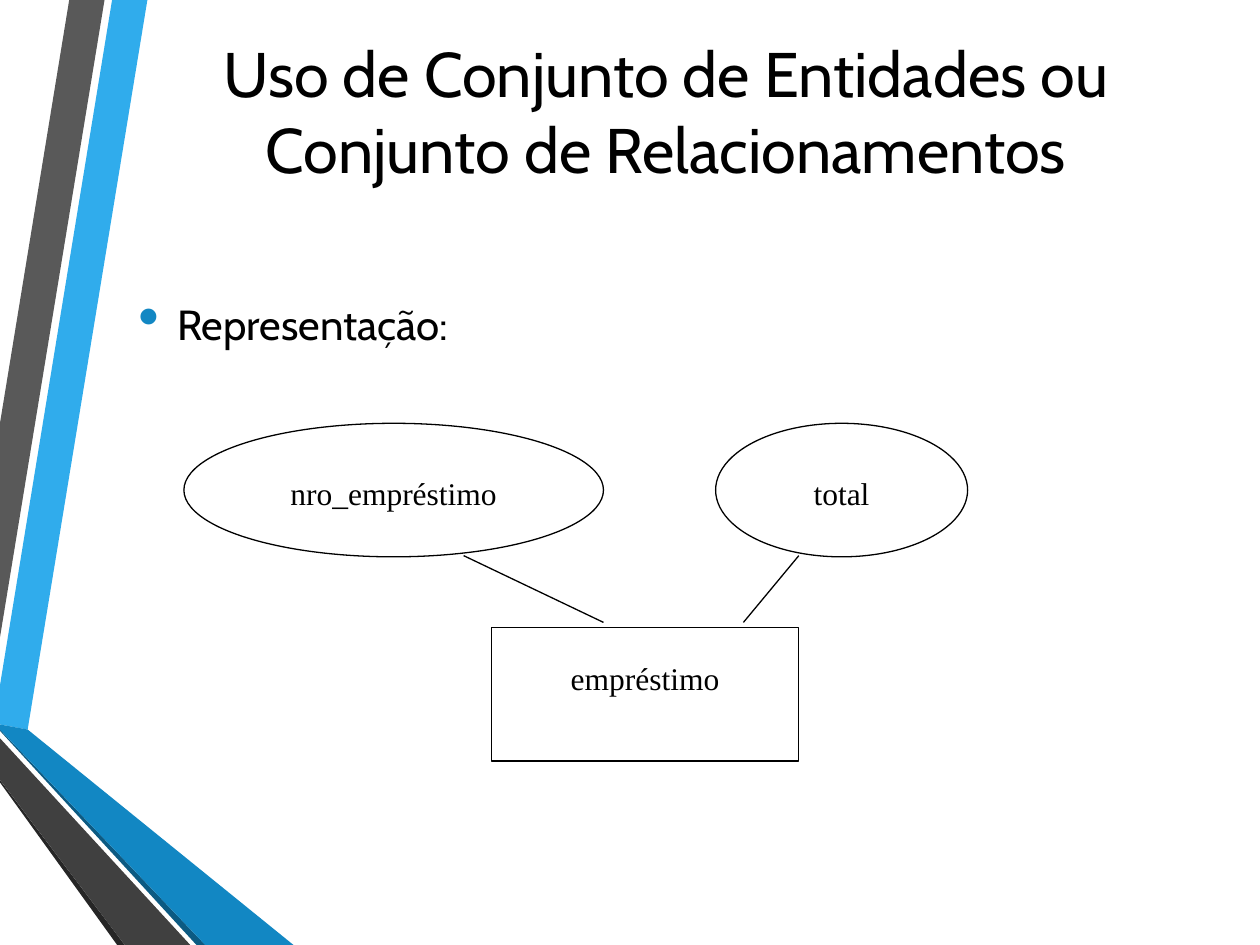
from lxml import etree
from pptx import Presentation
from pptx.dml.color import RGBColor
from pptx.enum.shapes import MSO_CONNECTOR, MSO_SHAPE
from pptx.enum.text import MSO_ANCHOR, PP_ALIGN
from pptx.oxml.ns import qn
from pptx.util import Inches, Pt

STRAIGHT = MSO_CONNECTOR.STRAIGHT
RECTANGLE, OVAL = MSO_SHAPE.RECTANGLE, MSO_SHAPE.OVAL
TOP, MIDDLE = MSO_ANCHOR.TOP, MSO_ANCHOR.MIDDLE
LEFT, CENTER = PP_ALIGN.LEFT, PP_ALIGN.CENTER

BLACK = RGBColor(0x00, 0x00, 0x00)
WHITE = RGBColor(0xFF, 0xFF, 0xFF)
LIGHT_BLUE = RGBColor(0x30, 0xAC, 0xEC)
BLUE = RGBColor(0x12, 0x87, 0xC3)
DARK_BLUE = RGBColor(0x0C, 0x5A, 0x82)
GRAY = RGBColor(0x59, 0x59, 0x59)
DARK_GRAY = RGBColor(0x40, 0x40, 0x40)
CHARCOAL = RGBColor(0x26, 0x26, 0x26)


def write_text(shape, text, font_name, size, alignment, anchor):
    frame = shape.text_frame
    frame.word_wrap = True
    frame.vertical_anchor = anchor
    paragraph = frame.paragraphs[0]
    paragraph.alignment = alignment
    run = paragraph.add_run()
    run.text = text
    run.font.name = font_name
    run.font.size = Pt(size)
    run.font.color.rgb = BLACK
    return paragraph


presentation = Presentation()
presentation.slide_width = Inches(10)
presentation.slide_height = Inches(7.5)
slide = presentation.slides.add_slide(presentation.slide_layouts[6])
shapes = slide.shapes

# Folded ribbons along the left edge
ribbons = [
    (LIGHT_BLUE, [(0, 5.44), (0, 5.75), (0.22, 5.79), (1.17, 0), (0.89, 0)]),
    (GRAY, [(0.83, 0), (0.55, 0), (0, 3.36), (0, 5.06)]),
    (CHARCOAL, [(0, 6.19), (0, 6.21), (0.93, 7.5), (0.99, 7.5)]),
    (DARK_BLUE, [(0, 5.79), (0, 5.8), (1.56, 7.5), (1.63, 7.5)]),
    (BLUE, [(0, 5.79), (1.63, 7.5), (2.33, 7.5), (0.22, 5.79), (0, 5.75)]),
    (DARK_GRAY, [(0, 6.19), (0.99, 7.5), (1.51, 7.5), (0, 5.86)]),
]
for color, points in ribbons:
    corners = [(Inches(x), Inches(y)) for x, y in points]
    builder = shapes.build_freeform(*corners[0])
    builder.add_line_segments(corners[1:], close=True)
    ribbon = builder.convert_to_shape()
    ribbon.shadow.inherit = False
    ribbon.fill.solid()
    ribbon.fill.fore_color.rgb = color
    ribbon.line.fill.background()

title = shapes.add_textbox(Inches(1.07), Inches(0.5), Inches(8.43), Inches(0.75))
write_text(title, "Uso de Conjunto de Entidades ou Conjunto de Relacionamentos",
           "Cabin", 36, CENTER, MIDDLE)

body = shapes.add_textbox(Inches(0.5), Inches(2.17), Inches(9), Inches(0.8))
item = write_text(body, "Representação:", "Cabin", 24, LEFT, MIDDLE)
properties = item._p.get_or_add_pPr()
properties.set("marL", str(Inches(0.81)))
properties.set("indent", str(Inches(-0.31)))
bullet_color = etree.SubElement(properties, qn("a:buClr"))
etree.SubElement(bullet_color, qn("a:srgbClr"), val=str(BLUE))
etree.SubElement(properties, qn("a:buSzPct"), val="145000")
etree.SubElement(properties, qn("a:buChar"), char="•")

# Entity with its two attributes
nodes = [
    (RECTANGLE, "empréstimo", 3.9, 4.98, 2.44),
    (OVAL, "nro_empréstimo", 1.46, 3.36, 3.33),
    (OVAL, "total", 5.68, 3.36, 2),
]
for kind, label, left, top, width in nodes:
    node = shapes.add_shape(kind, Inches(left), Inches(top), Inches(width), Inches(1.06))
    node.shadow.inherit = False
    node.fill.solid()
    node.fill.fore_color.rgb = WHITE
    node.line.color.rgb = BLACK
    node.line.width = Pt(0.75)
    write_text(node, label, "Times New Roman", 18, CENTER, TOP)
    node.text_frame.margin_top = Inches(0.25)

for start_x, end_x in [(3.68, 4.79), (6.34, 5.9)]:
    link = shapes.add_connector(STRAIGHT, Inches(start_x), Inches(4.41),
                                Inches(end_x), Inches(4.94))
    link.line.color.rgb = BLACK
    link.line.width = Pt(0.75)
    etree.SubElement(link._element.spPr, qn("a:effectLst"))

presentation.save("out.pptx")
